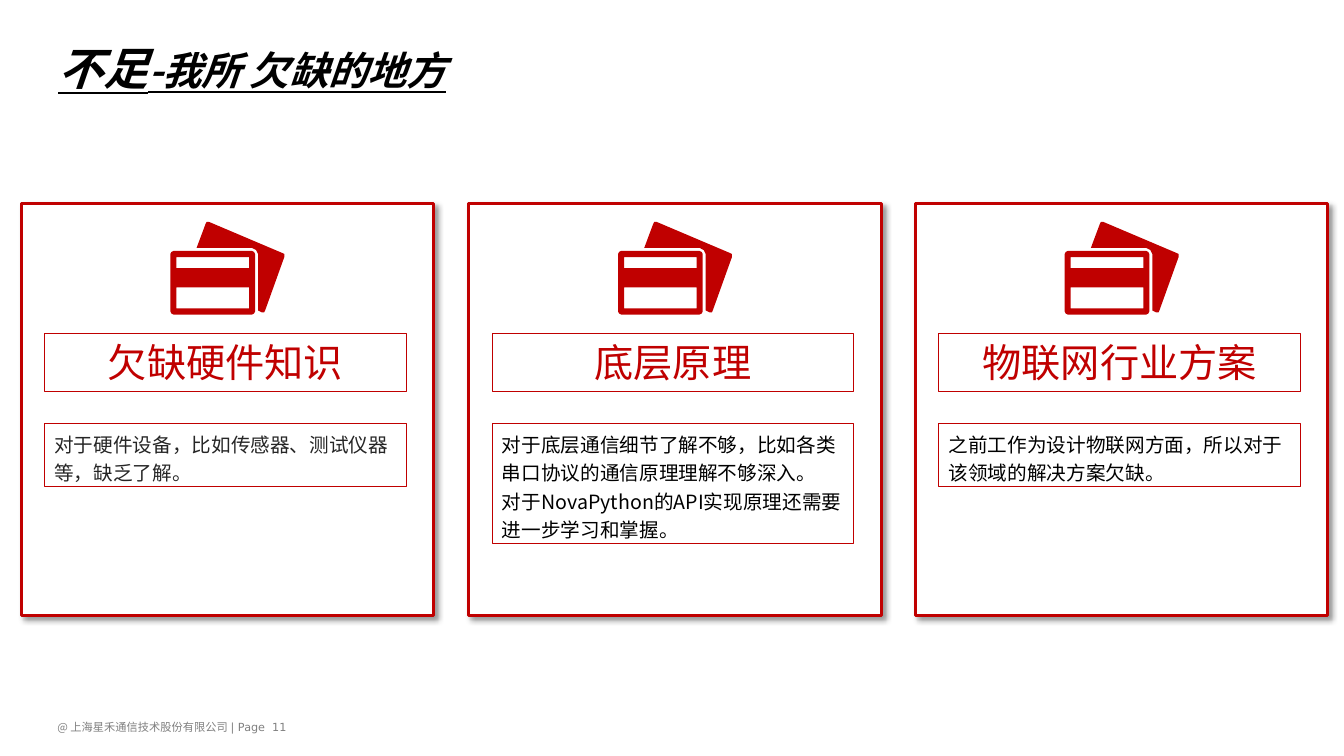
"""Build a slide with three cards on knowledge still to be gained."""
from dataclasses import dataclass
from typing import Any

from lxml.etree import SubElement as Sub
from pptx import Presentation
from pptx.dml.color import RGBColor as Rgb
from pptx.enum.shapes import MSO_SHAPE as Kind
from pptx.enum.text import MSO_ANCHOR as Anchor, MSO_AUTO_SIZE as Fit, PP_ALIGN as Align
from pptx.oxml.ns import qn
from pptx.util import Emu, Pt

SCALE = 9144


@dataclass(frozen=True)
class Theme:
    red: str = "C00000"
    white: str = "FFFFFF"
    black: str = "000000"
    dark: str = "262626"
    grey: str = "808080"
    sans: str = "Noto Sans CJK SC"
    foot: str = "DejaVu Sans"
    title: int = 32
    head: int = 28
    body: int = 14
    small: int = 8
    edge: float = 2
    thin: float = 0.75


@dataclass(frozen=True)
class Card:
    head: str
    body: list[str]
    color: str
    high: int


THEME = Theme()
TOP, LEFT, SIDE, SPAN = 202, 21, 409, 887
CARDS = [
    Card("欠缺硬件知识", ["对于硬件设备，比如传感器、测试仪器等，缺乏了解。"], THEME.dark, 63),
    Card("底层原理", ["对于底层通信细节了解不够，比如各类串口协议的通信原理理解不够深入。",
                  "对于NovaPython的API实现原理还需要进一步学习和掌握。"], THEME.black, 119),
    Card("物联网行业方案", ["之前工作为设计物联网方面，所以对于该领域的解决方案欠缺。"], THEME.black, 63),
]
ICON = [
    [(6, 65), (6, 86), (78, 86), (78, 65)],
    [(6, 35), (6, 46), (78, 46), (78, 35)],
    [(3, 29), (81, 29), (83, 30), (84, 32), (84, 89), (83, 91), (81, 92),
     (3, 92), (1, 91), (0, 89), (0, 32), (1, 30)],
    [(38, 0), (111, 31), (113, 32), (113, 35), (94, 88), (93, 90), (91, 90),
     (87, 88), (87, 32), (85, 28), (81, 26), (26, 26), (35, 2), (36, 0)],
]


def px(*nums: int) -> list[Emu]:
    return [Emu(num * SCALE) for num in nums]


def put(item: Any, form: dict[str, Any]) -> None:
    for key, val in form.items():
        setattr(item, key, val)


def write(para: Any, text: str, size: int, color: str, face: str = THEME.sans, **form: Any) -> None:
    run = para.add_run()
    run.text = text
    put(run.font, {"size": Pt(size), "name": face, **form})
    run.font.color.rgb = Rgb.from_string(color)
    Sub(run.font._element, qn("a:ea"), typeface=face)


def frame(shape: Any, **form: Any) -> Any:
    put(shape.text_frame, {"word_wrap": True, "auto_size": Fit.NONE,
                           "vertical_anchor": Anchor.TOP, **form})
    return shape.text_frame


def box(shapes: Any, area: tuple[int, ...], width: float, fill: str = "") -> Any:
    shape = shapes.add_shape(Kind.RECTANGLE, *px(*area))
    shape.shadow.inherit = False
    if fill:
        shape.fill.solid()
        shape.fill.fore_color.rgb = Rgb.from_string(fill)
    else:
        shape.fill.background()
    shape.line.color.rgb = Rgb.from_string(THEME.red)
    shape.line.width = Pt(width)
    return shape


def shade(shape: Any) -> None:
    host = shape._element.spPr.find(qn("a:effectLst"))
    cast = Sub(host, qn("a:outerShdw"), blurRad=str(Pt(4)), dist=str(Pt(3)),
               dir=str(45 * 60000), algn="tl", rotWithShape="0")
    tint = Sub(cast, qn("a:srgbClr"), val=THEME.black)
    Sub(tint, qn("a:alpha"), val="40000")


def icon(shapes: Any, left: int, top: int) -> None:
    first, *rest = ICON
    pen = shapes.build_freeform(*first[0], scale=SCALE)
    pen.add_line_segments(first[1:])
    for loop in rest:
        pen.move_to(*loop[0])
        pen.add_line_segments(loop[1:])
    shape = pen.convert_to_shape(*px(left, top))
    shape.shadow.inherit = False
    shape.fill.solid()
    shape.fill.fore_color.rgb = Rgb.from_string(THEME.red)
    shape.line.fill.background()


def draw(slide: Any, card: Card, left: int) -> None:
    shapes = slide.shapes.add_group_shape().shapes
    shade(box(shapes, (left, TOP, SIDE, SIDE), THEME.edge, THEME.white))
    head = frame(box(shapes, (left + 23, 331, 359, 57), THEME.thin)).paragraphs[0]
    head.alignment = Align.CENTER
    write(head, card.head, THEME.head, THEME.red)
    body = frame(box(shapes, (left + 23, 420, 359, card.high), THEME.thin))
    for num, text in enumerate(card.body):
        para = body.add_paragraph() if num else body.paragraphs[0]
        put(para, {"alignment": Align.LEFT, "line_spacing": 1.2})
        write(para, text, THEME.body, card.color)
    icon(shapes, left + 148, 220)


def name(slide: Any) -> None:
    title = slide.shapes.title
    put(title, dict(zip(("left", "top", "width", "height"), px(46, 52, 1210, 31))))
    side, edge = px(12, 6)
    text = frame(title, vertical_anchor=Anchor.MIDDLE, margin_left=side,
                 margin_right=side, margin_top=edge, margin_bottom=edge)
    para = text.paragraphs[0]
    para.alignment = Align.LEFT
    form = {"bold": True, "italic": True, "underline": True}
    write(para, "不足", THEME.title, THEME.black, **form)
    write(para, "-我所 欠缺的地方", THEME.head, THEME.black, **form)


def foot(slide: Any) -> None:
    firm = frame(slide.shapes.add_textbox(*px(47, 710, 552, 40))).paragraphs[0]
    write(firm, "@ 上海星禾通信技术股份有限公司 ", THEME.small, THEME.grey)
    write(firm, "| Page", THEME.small, THEME.grey, THEME.foot)
    side, edge = px(13, 7)
    page = frame(slide.shapes.add_textbox(*px(257, 708, 81, 40)), margin_left=side,
                 margin_right=side, margin_top=edge, margin_bottom=edge)
    write(page.paragraphs[0], "11", THEME.small, THEME.grey, THEME.foot)


def main() -> None:
    deck = Presentation()
    deck.slide_width, deck.slide_height = px(1333, 750)
    slide = deck.slides.add_slide(deck.slide_layouts[5])
    name(slide)
    foot(slide)
    for num, card in enumerate(CARDS):
        draw(slide, card, LEFT + round(num * SPAN / 2))
    deck.save("out.pptx")


if __name__ == "__main__":
    main()
